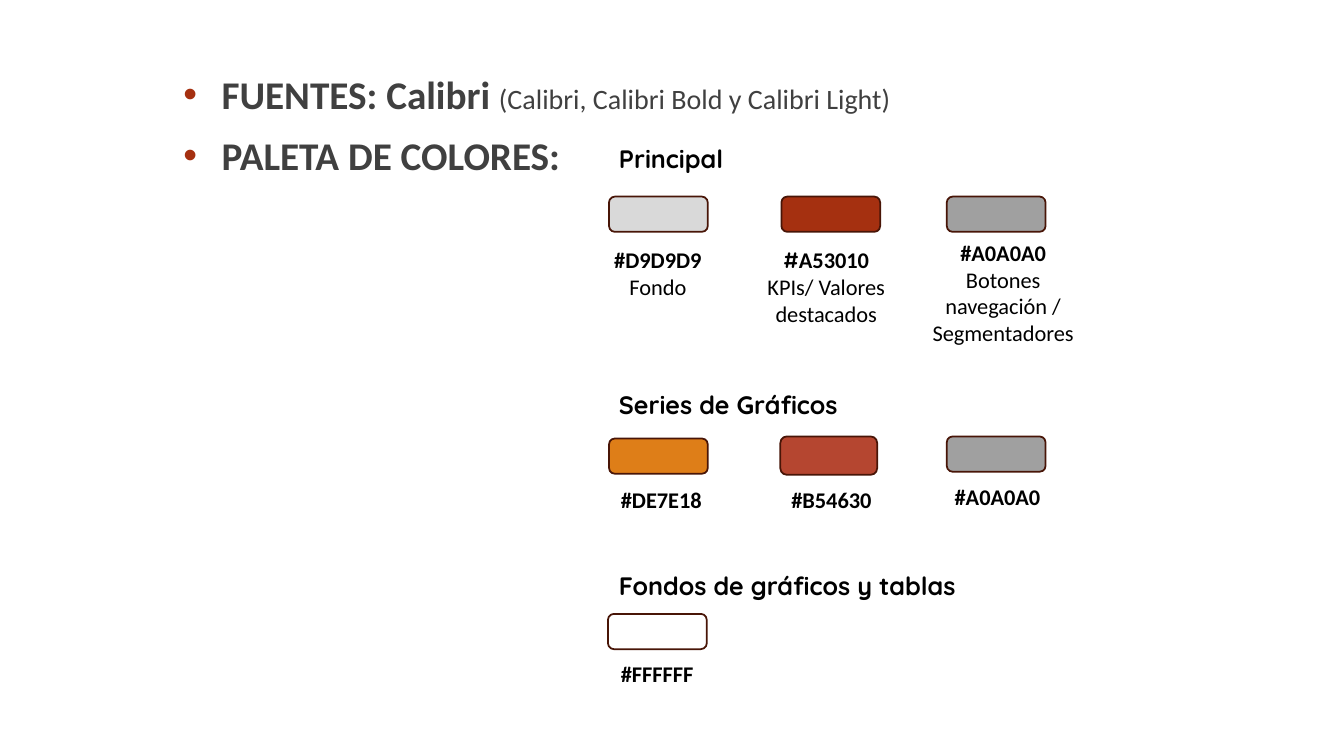
from dataclasses import dataclass

from lxml import etree
from pptx import Presentation
from pptx.dml.color import RGBColor
from pptx.enum.shapes import MSO_SHAPE
from pptx.enum.text import MSO_AUTO_SIZE, PP_ALIGN
from pptx.oxml.ns import qn
from pptx.util import Inches, Pt

ROUNDED = MSO_SHAPE.ROUNDED_RECTANGLE
GROW = MSO_AUTO_SIZE.SHAPE_TO_FIT_TEXT
LEFT, CENTER = PP_ALIGN.LEFT, PP_ALIGN.CENTER


@dataclass(frozen=True)
class Theme:
    body_font: str = "Calibri"
    heading_font: str = "Quicksand"
    ink: str = "000000"
    body: str = "404040"
    bullet: str = "A53010"
    outline: str = "481507"
    title_size: int = 28
    detail_size: int = 20
    heading_size: int = 18
    label_size: int = 16


@dataclass(frozen=True)
class Swatch:
    """A colour chip and its label; boxes are offsets from the section corner."""
    color: str
    chip: tuple
    label: tuple
    lines: tuple = ()
    inline: str = ""
    align: PP_ALIGN = LEFT
    hash_font: str = "Calibri"


THEME = Theme()
CHIP = (0.98, 0.35)

# Heading, section box, heading width, swatches
SECTIONS = [
    ("Principal", (6.04, 1.37, 4.73, 2.5), 1.47, [
        Swatch("D9D9D9", (0, 0.58, *CHIP), (-0.29, 1.02, 1.55, 0.64),
               lines=("Fondo",), align=CENTER),
        Swatch("A53010", (1.71, 0.58, *CHIP), (1.4, 1.02, 1.51, 1.48),
               lines=("KPIs/ Valores destacados",), align=CENTER,
               hash_font=THEME.heading_font),
        Swatch("A0A0A0", (3.35, 0.58, *CHIP), (3.09, 0.95, 1.64, 1.18),
               inline=" Botones navegación / Segmentadores", align=CENTER),
    ]),
    ("Series de Gráficos", (6.04, 3.81, 4.6, 1.6), 2.58, [
        Swatch("DE7E18", (0, 0.54, *CHIP), (0.02, 0.96, 1.2, 0.64)),
        Swatch("B54630", (1.7, 0.52, 0.96, 0.38), (1.71, 0.96, 1.2, 0.37)),
        Swatch("A0A0A0", (3.35, 0.52, *CHIP), (3.33, 0.93, 1.27, 0.37)),
    ]),
    ("Fondos de gráficos y tablas", (6.04, 5.61, 3.76, 1.26), 3.76, [
        Swatch("FFFFFF", (-0.01, 0.48, *CHIP), (0.02, 0.89, 1.27, 0.37)),
    ]),
]


def write(para, text, size=THEME.label_size, font=THEME.body_font,
          color=THEME.ink, bold=False):
    span = para.add_run()
    span.text = text
    span.font.size = Pt(size)
    span.font.name = font
    span.font.bold = bold
    span.font.color.rgb = RGBColor.from_string(color)


def add_text_frame(page, box, auto_size=GROW):
    frame = page.shapes.add_textbox(*map(Inches, box)).text_frame
    frame.word_wrap = True
    frame.auto_size = auto_size
    return frame


def set_bullet(para, indent=0.38):
    props = para._p.get_or_add_pPr()
    props.set("marL", str(Inches(indent)))
    props.set("indent", str(-Inches(indent)))
    color = etree.SubElement(props, qn("a:buClr"))
    etree.SubElement(color, qn("a:srgbClr"), val=THEME.bullet)
    etree.SubElement(props, qn("a:buFont"), typeface="Arial")
    etree.SubElement(props, qn("a:buChar"), char="•")


def add_guidelines(page, box):
    frame = add_text_frame(page, box, MSO_AUTO_SIZE.NONE)
    items = [("FUENTES: Calibri ", "(Calibri, Calibri Bold y Calibri Light)"),
             ("PALETA DE COLORES:", "")]
    for index, (title, detail) in enumerate(items):
        para = frame.add_paragraph() if index else frame.paragraphs[0]
        para.space_before = Pt(10)
        set_bullet(para)
        write(para, title, size=THEME.title_size, color=THEME.body, bold=True)
        if detail:
            write(para, detail, size=THEME.detail_size, color=THEME.body)


def add_swatch(page, left, top, swatch):
    def place(box):
        return (left + box[0], top + box[1], *box[2:])

    chip = page.shapes.add_shape(ROUNDED, *map(Inches, place(swatch.chip)))
    chip.shadow.inherit = False
    chip.fill.solid()
    chip.fill.fore_color.rgb = RGBColor.from_string(swatch.color)
    chip.line.color.rgb = RGBColor.from_string(THEME.outline)
    chip.line.width = Pt(1.25)

    frame = add_text_frame(page, place(swatch.label))
    para = frame.paragraphs[0]
    para.alignment = swatch.align
    if swatch.hash_font == THEME.body_font:
        write(para, "#" + swatch.color, bold=True)
    else:
        write(para, "#", font=swatch.hash_font, bold=True)
        write(para, swatch.color, bold=True)
    if swatch.inline:
        write(para, swatch.inline)
    for line in swatch.lines:
        para = frame.add_paragraph()
        para.alignment = swatch.align
        write(para, line)


def add_section(page, box, heading, heading_width, swatches):
    left, top = box[:2]
    frame = add_text_frame(page, (left, top, heading_width, 0.4))
    write(frame.paragraphs[0], heading, size=THEME.heading_size,
          font=THEME.heading_font, bold=True)
    for swatch in swatches:
        add_swatch(page, left, top, swatch)


def main():
    deck = Presentation()
    deck.slide_width, deck.slide_height = Inches(13.33), Inches(7.5)
    page = deck.slides.add_slide(deck.slide_layouts[6])
    add_guidelines(page, (1.72, 0.65, 10.63, 6.2))
    for heading, box, heading_width, swatches in SECTIONS:
        add_section(page, box, heading, heading_width, swatches)
    deck.save("out.pptx")


if __name__ == "__main__":
    main()
